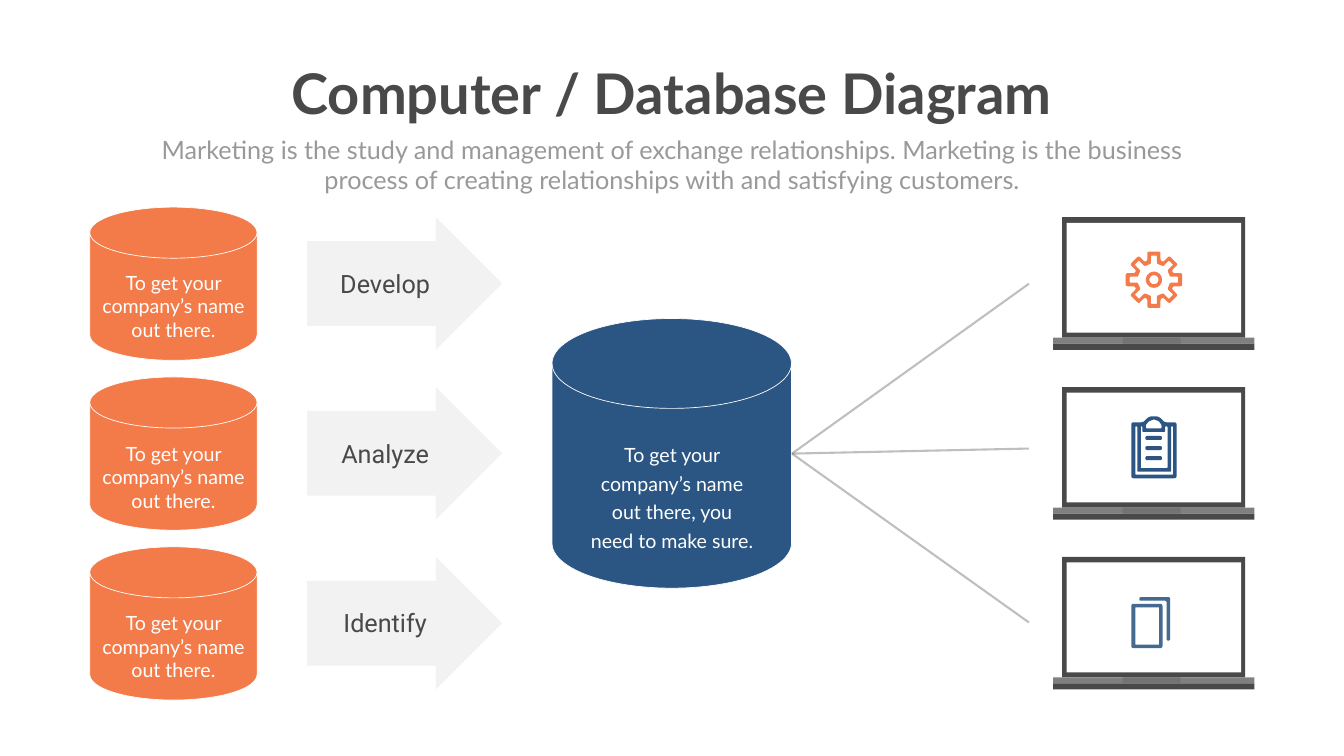
from math import cos, sin, pi, hypot

from lxml.etree import SubElement
from pptx import Presentation
from pptx.dml.color import RGBColor
from pptx.enum.shapes import MSO_CONNECTOR, MSO_SHAPE as SHAPE
from pptx.enum.text import MSO_AUTO_SIZE, PP_ALIGN
from pptx.oxml.ns import qn
from pptx.util import Inches, Pt

ORANGE, BLUE, STEEL = "F37B49", "2B5683", "456990"
DARK, GRAY, MID, LIGHT, WHITE = "494949", "808080", "737373", "999999", "FFFFFF"

TITLE = "Computer / Database Diagram"
SUBTITLE = ("Marketing is the study and management of exchange relationships. "
            "Marketing is the business process of creating relationships with "
            "and satisfying customers.")
SOURCE_TEXT = "To get your company’s name out there."
CENTER_TEXT = "To get your company’s name out there, you need to make sure."
STEPS = ["Develop", "Analyze", "Identify"]
SOURCE_TEXT_TOPS = [5.32, 8.71, 12.08]
LINK_ENDS = [5.63, 8.9, 12.35]
HUB = (15.71, 9)
ROW_PITCH = 3.37

# Laptop parts for the first row: left, top, width, height, colour
LAPTOP = [
    (21.07, 4.31, 3.63, 2.39, DARK),
    (21.16, 4.42, 3.46, 2.18, WHITE),
    (20.89, 6.7, 3.99, 0.12, GRAY),
    (20.89, 6.82, 3.99, 0.12, DARK),
    (22.27, 6.7, 1.15, 0.12, MID),
]


def box(left, top, right, bottom):
    return [(left, top), (right, top), (right, bottom), (left, bottom)]


def gear(cx, cy, straight, diagonal):
    """Eight teeth; each kind is (half width, base radius, tip radius)."""
    points = []
    for i in range(8):
        half, base, tip = diagonal if i % 2 else straight
        a = i * pi / 4
        for side, out in ((-half, base), (-half, tip), (half, tip), (half, base)):
            points.append((cx + out * cos(a) - side * sin(a),
                           cy + out * sin(a) + side * cos(a)))
    return points


def circle(cx, cy, radius, n=40):
    return [(cx + radius * cos(2 * pi * i / n), cy + radius * sin(2 * pi * i / n))
            for i in range(n)]


# Each icon is a list of (colour, contours); a contour is (points, corner radius)
GEAR_ICON = [
    (ORANGE, [(circle(22.89, 5.55, 0.16), 0), (circle(22.89, 5.55, 0.09), 0)]),
    (ORANGE, [(gear(22.89, 5.55, (0.13, 0.38, 0.56), (0.12, 0.38, 0.55)), 0.04),
              (gear(22.89, 5.55, (0.06, 0.32, 0.48), (0.06, 0.32, 0.48)), 0.02)]),
]
CLIPBOARD_ICON = [
    (BLUE, [
        ([(22.44, 8.38), (22.68, 8.38), (22.75, 8.3), (22.82, 8.26), (22.96, 8.26),
          (23.03, 8.3), (23.1, 8.38), (23.34, 8.38), (23.34, 9.49), (22.44, 9.49)], 0.05),
        ([(22.73, 8.5), (22.73, 8.43), (22.79, 8.36), (22.89, 8.32), (22.99, 8.36),
          (23.04, 8.43), (23.04, 8.5)], 0.02),
        ([(22.63, 8.46), (22.66, 8.46), (22.66, 8.57), (23.11, 8.57), (23.11, 8.46),
          (23.16, 8.46), (23.16, 9.29), (22.63, 9.29)], 0.02),
        ([(22.52, 8.46), (22.56, 8.46), (22.56, 9.36), (23.23, 9.36), (23.23, 8.46),
          (23.27, 8.46), (23.27, 9.42), (22.52, 9.42)], 0.02),
    ]),
] + [(BLUE, [(box(22.72, top, 23.05, top + 0.08), 0.04)]) for top in (8.65, 8.85, 9.05)]
COPY_ICON = [
    (STEEL, [(box(22.44, 11.98, 23.06, 12.86), 0.05), (box(22.52, 12.05, 22.99, 12.79), 0)]),
    (STEEL, [([(22.6, 11.85), (23.21, 11.85), (23.21, 12.71), (23.14, 12.71),
               (23.14, 11.92), (22.6, 11.92)], 0.03)]),
]
ICONS = [GEAR_ICON, CLIPBOARD_ICON, COPY_ICON]


def rgb(color):
    return RGBColor.from_string(color)


def set_alpha(fill_parent, percent):
    color = next(fill_parent.iter(qn("a:srgbClr")))
    SubElement(color, qn("a:alpha")).set("val", str(percent * 1000))


def paint(sp, fill, line=None):
    sp.shadow.inherit = False
    sp.fill.solid()
    sp.fill.fore_color.rgb = rgb(fill)
    if line:
        sp.line.color.rgb = rgb(line)
        sp.line.width = Pt(1)
    else:
        sp.line.fill.background()
    return sp


def add_preset(shapes, kind, left, top, width, height, fill, line=None):
    sp = shapes.add_shape(kind, *map(Inches, (left, top, width, height)))
    return paint(sp, fill, line)


def add_text(shapes, text, left, top, width, height, size, color,
             font="Lato", bold=False, wrap=True, spacing=None):
    tf = shapes.add_textbox(*map(Inches, (left, top, width, height))).text_frame
    tf.word_wrap = wrap
    tf.auto_size = MSO_AUTO_SIZE.SHAPE_TO_FIT_TEXT
    tf.text = text
    p = tf.paragraphs[0]
    p.alignment = PP_ALIGN.CENTER
    if spacing:
        p.line_spacing = Pt(spacing)
    f = p.runs[0].font
    f.name, f.size, f.bold, f.color.rgb = font, Pt(size), bold, rgb(color)


def add_link(shapes, start, end):
    line = shapes.add_connector(MSO_CONNECTOR.STRAIGHT, *map(Inches, start + end))
    line.line.color.rgb = rgb(GRAY)
    line.line.width = Pt(3)
    props = line._element.spPr
    set_alpha(props, 50)
    SubElement(props, qn("a:effectLst"))


def round_corners(points, radius, steps=4):
    """Replace each corner by a short quadratic curve."""
    if not radius:
        return points
    result = []
    for i, (x, y) in enumerate(points):
        ends = []
        for nx, ny in (points[i - 1], points[(i + 1) % len(points)]):
            length = hypot(nx - x, ny - y)
            t = min(radius / length, 0.5)
            ends.append((x + (nx - x) * t, y + (ny - y) * t))
        (ax, ay), (bx, by) = ends
        for k in range(steps + 1):
            t = k / steps
            u = 1 - t
            result.append((u * u * ax + 2 * u * t * x + t * t * bx,
                           u * u * ay + 2 * u * t * y + t * t * by))
    return result


def add_outline(shapes, color, contours):
    builder = None
    for points, radius in contours:
        first, *rest = [(Inches(x), Inches(y)) for x, y in round_corners(points, radius)]
        if builder is None:
            builder = shapes.build_freeform(*first)
        else:
            builder.move_to(*first)
        builder.add_line_segments(rest, close=True)
    paint(builder.convert_to_shape(), color)


def main():
    prs = Presentation()
    prs.slide_width, prs.slide_height = Inches(26.66), Inches(15)
    s = prs.slides.add_slide(prs.slide_layouts[6])
    shapes = s.shapes

    for row, (step, text_top) in enumerate(zip(STEPS, SOURCE_TEXT_TOPS)):
        dy = row * ROW_PITCH
        add_preset(shapes, SHAPE.FLOWCHART_MAGNETIC_DISK, 1.78, 4.11 + dy, 3.32, 3.04,
                   ORANGE, WHITE)
        add_text(shapes, SOURCE_TEXT, 1.78, text_top, 3.32, 1.51, 28, WHITE)
        arrow = add_preset(shapes, SHAPE.RIGHT_ARROW, 6.09, 4.31 + dy, 3.87, 2.63, GRAY)
        arrow.adjustments[0], arrow.adjustments[1] = 0.64, 0.5
        set_alpha(arrow._element.spPr, 10)
        add_text(shapes, step, 6.25, 5.27 + dy, 2.78, 0.71, 36, DARK, font="Roboto")

    add_preset(shapes, SHAPE.FLOWCHART_MAGNETIC_DISK, 10.95, 6.32, 4.75, 5.35, BLUE, WHITE)
    add_text(shapes, CENTER_TEXT, 11.57, 8.64, 3.52, 2.34, 28, WHITE, spacing=40.8)

    for row, (icon, link_end) in enumerate(zip(ICONS, LINK_ENDS)):
        laptop = shapes.add_group_shape().shapes
        for left, top, width, height, color in LAPTOP:
            add_preset(laptop, SHAPE.RECTANGLE, left, top + row * ROW_PITCH,
                       width, height, color)
        add_link(shapes, HUB, (20.41, link_end))
        for color, contours in icon:
            add_outline(shapes, color, contours)

    add_text(shapes, TITLE, 5.6, 1.12, 15.45, 1.45, 80, DARK, bold=True, wrap=False)
    add_text(shapes, SUBTITLE, 2.92, 2.61, 20.82, 1.31, 36, LIGHT)
    prs.save("out.pptx")


if __name__ == "__main__":
    main()
